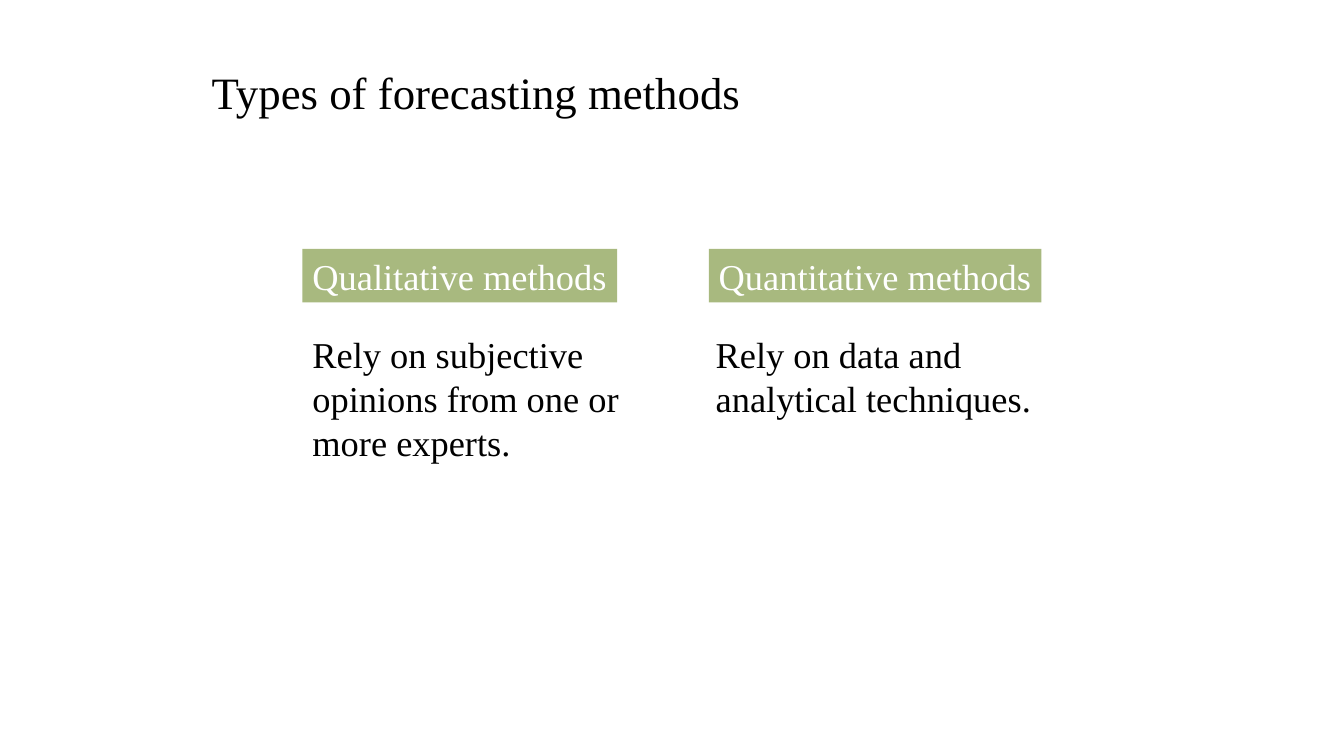
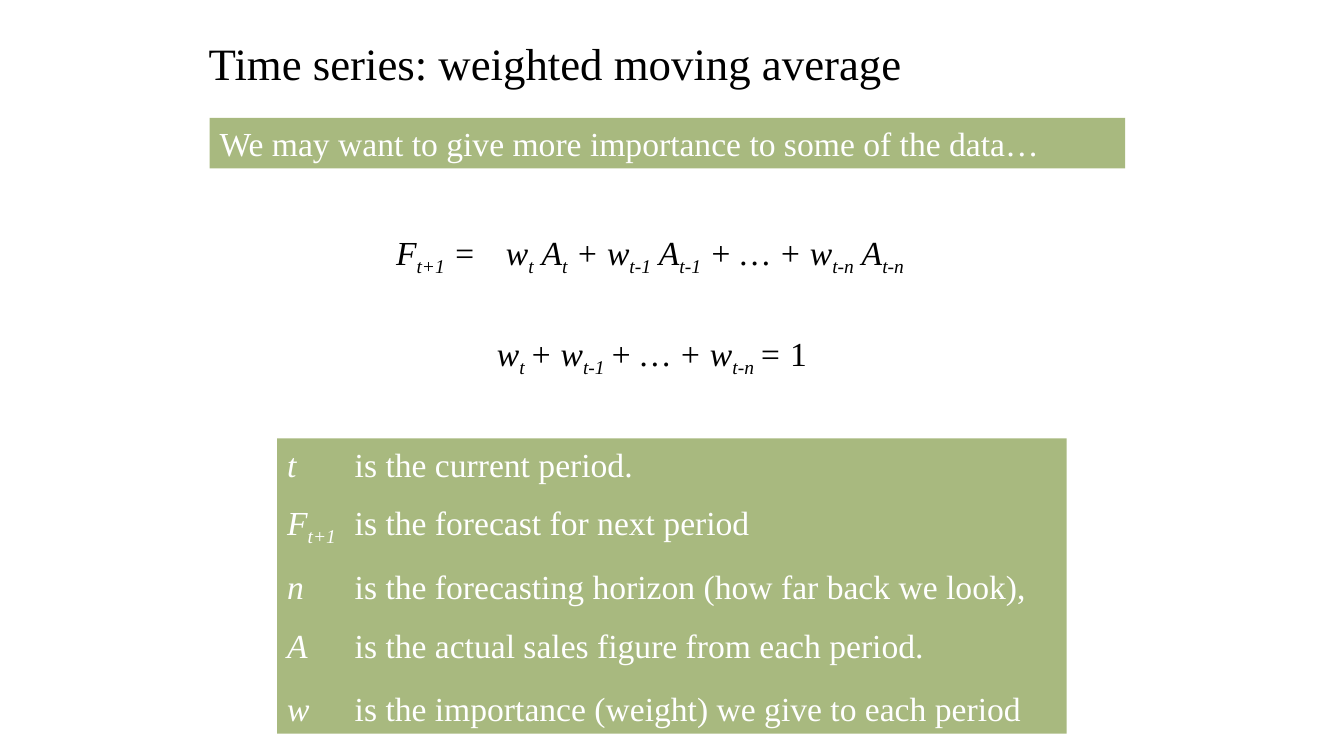
from dataclasses import dataclass

from lxml import etree
from pptx import Presentation
from pptx.dml.color import RGBColor
from pptx.enum.shapes import MSO_SHAPE
from pptx.enum.text import MSO_ANCHOR, MSO_AUTO_SIZE, PP_ALIGN
from pptx.oxml.ns import qn
from pptx.util import Inches, Pt

RECTANGLE = MSO_SHAPE.RECTANGLE
TOP = MSO_ANCHOR.TOP
NO_FIT = MSO_AUTO_SIZE.NONE
LEFT = PP_ALIGN.LEFT
TITLE_ONLY = 5


@dataclass(frozen=True)
class Theme:
    font: str = "Times New Roman"
    ink: RGBColor = RGBColor(0x00, 0x00, 0x00)
    paper: RGBColor = RGBColor(0xFF, 0xFF, 0xFF)
    band: RGBColor = RGBColor(0xA8, 0xB9, 0x7F)
    title_size: int = 32
    method_size: int = 26
    text_size: int = 24
    legend_gap: float = 13


THEME = Theme()

# Places are left, top, width, height in inches.
METHODS_TITLE = ("Types of forecasting methods", (2, 0.59, 9, 0.63))
METHODS = [
    ("Qualitative methods", (3, 2.47, 3.12, 0.53),
     "Rely on subjective opinions from one or more experts.", (3, 3.25, 3.92, 1.4)),
    ("Quantitative methods", (7.03, 2.47, 3.3, 0.53),
     "Rely on data and analytical techniques.", (7, 3.25, 3.83, 0.97)),
]

AVERAGE_TITLE = ("Time series: weighted moving average", (1.97, 0.3, 9.17, 0.63))
REMARK = ("We may want to give more importance to some of the data…", (2.08, 1.17, 9.08, 0.5))

# Symbols alternate between the base line and a subscript; the last item is upright.
FORMULAS = [
    (["F", "t+1", " ="], "", (3.83, 2.25, 1.17, 0.5)),
    (["w", "t", " A", "t", " + w", "t-1", " A", "t-1", " + … + w", "t-n", " A", "t-n"],
     "", (4.92, 2.25, 4.42, 0.5)),
    (["w", "t ", "+ w", "t-1 ", "+ … + w", "t-n ", "= "], "1", (4.83, 3.25, 3.83, 0.5)),
]

LEGEND_PLACE = (2.75, 4.35, 7.83, 2.93)
LEGEND_TAB = 0.67
LEGEND = [
    (["t"], "is the current period.", 0),
    (["F", "t+1"], "is the forecast for next period", THEME.legend_gap),
    (["n"], "is the forecasting horizon (how far back we look),", THEME.legend_gap),
    (["A"], "is the actual sales figure from each period.", THEME.legend_gap),
    (["w"], "is the importance (weight) we give to each period", THEME.legend_gap + 3.5),
]


def add_span(para, text, size, color, italic=False, subscript=False):
    span = para.add_run()
    span.text = text
    font = span.font
    font.name, font.size, font.italic = THEME.font, Pt(size), italic
    font.color.rgb = color
    if subscript:
        span._r.get_or_add_rPr().set("baseline", "-25000")


def add_symbols(para, symbols, color):
    for index, text in enumerate(symbols):
        add_span(para, text, THEME.text_size, color, italic=True, subscript=index % 2 == 1)


def prepare_frame(box, wrap=True):
    """Set the frame to left-aligned text from the top and return its first paragraph."""
    frame = box.text_frame
    frame.auto_size = NO_FIT
    frame.word_wrap = wrap
    frame.vertical_anchor = TOP
    para = frame.paragraphs[0]
    para.alignment = LEFT
    return para


def add_title_slide(deck, title, place):
    """Add a slide that has only a title."""
    page = deck.slides.add_slide(deck.slide_layouts[TITLE_ONLY])
    box = page.shapes.title
    box.left, box.top, box.width, box.height = map(Inches, place)
    add_span(prepare_frame(box), title, THEME.title_size, THEME.ink)
    return page


def add_text(page, place, wrap=True):
    return prepare_frame(page.shapes.add_textbox(*map(Inches, place)), wrap)


def add_band(page, place):
    box = page.shapes.add_shape(RECTANGLE, *map(Inches, place))
    box.shadow.inherit = False
    box.fill.solid()
    box.fill.fore_color.rgb = THEME.band
    box.line.fill.background()
    return box


def add_tab_stop(para, position):
    stops = etree.SubElement(para._p.get_or_add_pPr(), qn("a:tabLst"))
    etree.SubElement(stops, qn("a:tab"), pos=str(Inches(position)), algn="l")


def build_methods(deck):
    page = add_title_slide(deck, *METHODS_TITLE)
    for name, name_place, description, description_place in METHODS:
        heading = prepare_frame(add_band(page, name_place), wrap=False)
        add_span(heading, name, THEME.method_size, THEME.paper)
        para = add_text(page, description_place)
        add_span(para, description, THEME.method_size, THEME.ink)


def build_average(deck):
    page = add_title_slide(deck, *AVERAGE_TITLE)
    remark, remark_place = REMARK
    para = prepare_frame(add_band(page, remark_place))
    add_span(para, remark, THEME.text_size, THEME.paper)

    for symbols, upright, place in FORMULAS:
        para = add_text(page, place, wrap=False)
        add_symbols(para, symbols, THEME.ink)
        if upright:
            add_span(para, upright, THEME.text_size, THEME.ink)

    legend = add_band(page, LEGEND_PLACE)
    para = prepare_frame(legend)
    for index, (symbols, meaning, gap) in enumerate(LEGEND):
        if index:
            para = legend.text_frame.add_paragraph()
            para.alignment = LEFT
            para.space_before = Pt(gap)
        add_tab_stop(para, LEGEND_TAB)
        add_symbols(para, symbols, THEME.paper)
        add_span(para, "\t" + meaning, THEME.text_size, THEME.paper)


def main():
    deck = Presentation()
    deck.slide_width, deck.slide_height = Inches(13.33), Inches(7.5)
    build_methods(deck)
    build_average(deck)
    deck.save("out.pptx")


if __name__ == "__main__":
    main()
